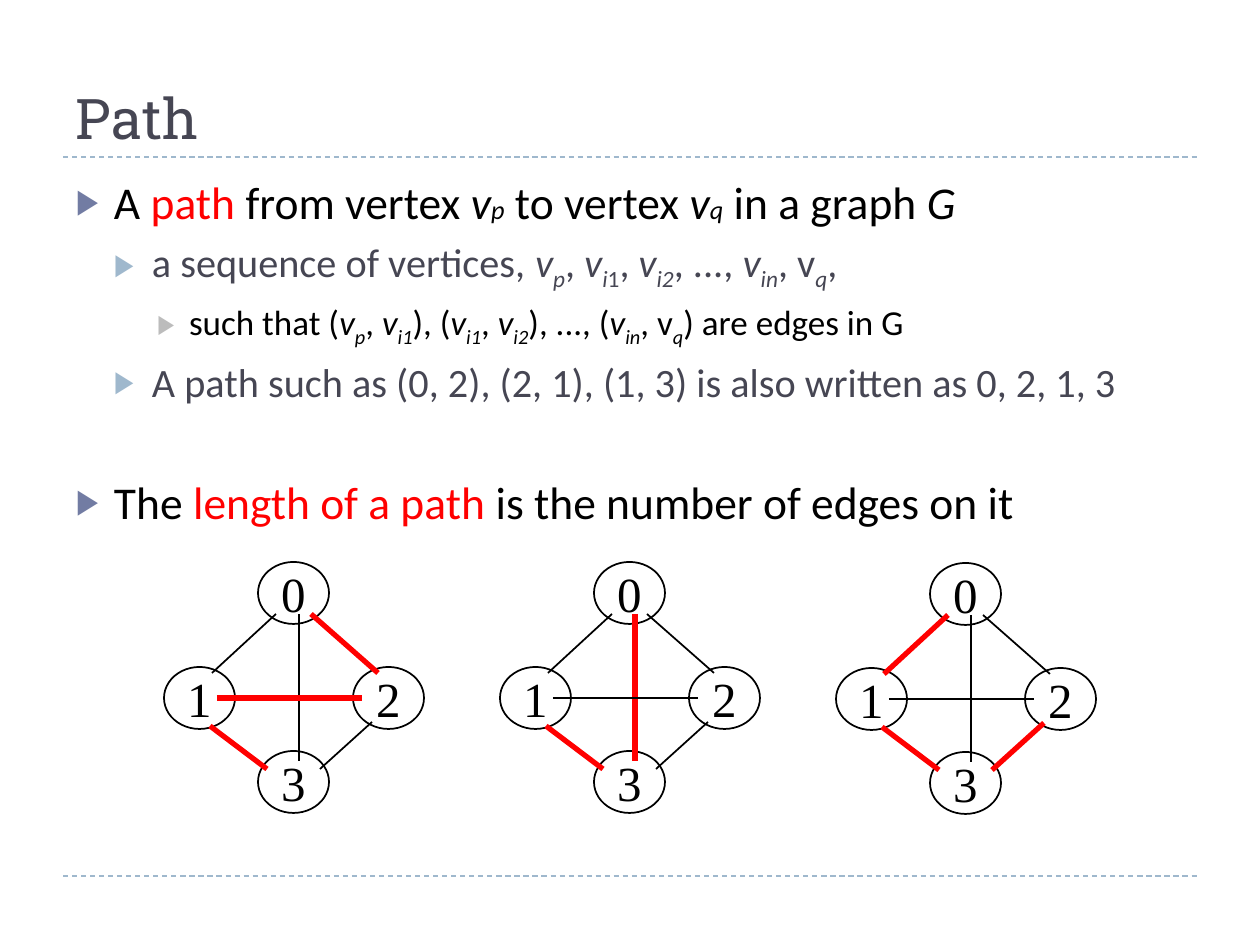
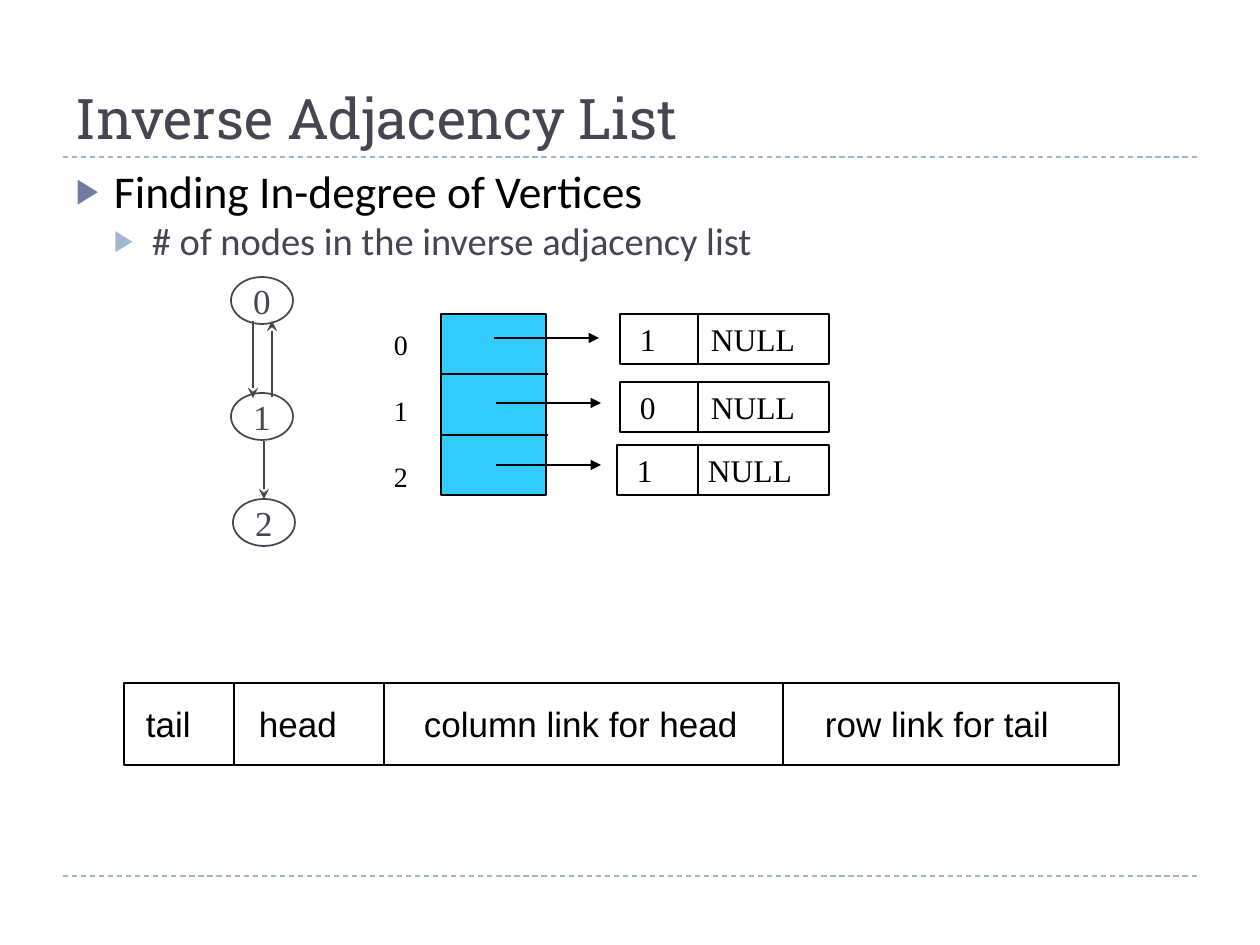
from lxml.etree import SubElement
from pptx import Presentation
from pptx.dml.color import RGBColor
from pptx.enum.dml import MSO_LINE_DASH_STYLE as Dash
from pptx.enum.shapes import MSO_CONNECTOR as Connector, MSO_SHAPE as Shape
from pptx.enum.text import MSO_ANCHOR as Anchor, MSO_AUTO_SIZE as AutoSize, PP_ALIGN as Align
from pptx.oxml.ns import qn
from pptx.util import Pt

PX = 914400 / 126
BLACK = RGBColor(0x00, 0x00, 0x00)
WHITE = RGBColor(0xFF, 0xFF, 0xFF)
RED = RGBColor(0xFF, 0x00, 0x00)
SLATE = RGBColor(0x46, 0x46, 0x53)
INDIGO = RGBColor(0x72, 0x7C, 0xA3)
PALE_BLUE = RGBColor(0x9F, 0xB8, 0xCD)
GRAY = RGBColor(0xBC, 0xBC, 0xBC)
CYAN = RGBColor(0x33, 0xCC, 0xFF)

TITLE_FONT, BODY_FONT = "Roboto Slab", "Calibri"
SERIF, SANS = "Times New Roman", "Arial"

LEVELS = [
    {"margin": 38, "hanging": 38, "before": 6, "bullet": INDIGO, "size": 26, "color": BLACK},
    {"margin": 76, "hanging": 38, "before": 5, "bullet": PALE_BLUE, "size": 23, "color": SLATE},
    {"margin": 113, "hanging": 32, "before": 5, "bullet": GRAY, "size": 20, "color": BLACK},
]
SPAN_STYLES = {
    "plain": {},
    "red": {"color": RED},
    "italic": {"italic": True},
    "small": {"italic": True, "size": 15},
    "sub": {"italic": True, "baseline": -25000},
    "upright sub": {"baseline": -25000},
}

GRAPH_NODES = [(94, 0), (0, 105), (189, 105), (94, 189)]
GRAPH_EDGES = {
    "0-3": (135, 52, 135, 199),
    "1-2": (53, 136, 198, 136),
    "0-1": (112, 52, 48, 111),
    "0-2": (147, 52, 214, 111),
    "1-3": (46, 164, 103, 207),
    "2-3": (208, 160, 156, 207),
}
PATHS = [
    (164, 562, {"0-2", "1-2", "1-3"}),
    (500, 562, {"0-3", "1-3"}),
    (836, 563, {"0-1", "1-3", "2-3"}),
]


def emu(px):
    return round(px * PX)


def apply_format(target, values):
    for name, value in values.items():
        setattr(target, name, value)


def format_font(font, name, size, color, italic=False, baseline=0):
    apply_format(font, {"name": name, "size": Pt(size), "italic": italic})
    font.color.rgb = color
    if baseline:
        font._element.set("baseline", str(baseline))


def format_frame(frame, anchor, left=13, right=13, wrap=True):
    apply_format(frame, {
        "auto_size": AutoSize.NONE, "word_wrap": wrap, "vertical_anchor": anchor,
        "margin_left": emu(left), "margin_right": emu(right),
        "margin_top": emu(6), "margin_bottom": emu(6),
    })


def place(shape, left, top, width, height):
    apply_format(shape, {
        "left": emu(left), "top": emu(top), "width": emu(width), "height": emu(height),
    })


def add_line(page, points, color=BLACK, weight=0.75, dash=None, arrow=None):
    line = page.shapes.add_connector(Connector.STRAIGHT, *map(emu, points))
    line.line.color.rgb = color
    line.line.width = Pt(weight)
    if dash:
        line.line.dash_style = dash
    properties = line.element.spPr
    if arrow:
        SubElement(properties.get_or_add_ln(), qn("a:tailEnd"), type=arrow)
    SubElement(properties, qn("a:effectLst"))


def add_box(page, kind, bounds, fill=None, color=BLACK, weight=0.75):
    box = page.shapes.add_shape(kind, *map(emu, bounds))
    box.shadow.inherit = False
    if fill is None:
        box.fill.background()
    else:
        box.fill.solid()
        box.fill.fore_color.rgb = fill
    box.line.color.rgb = color
    box.line.width = Pt(weight)
    return box


def add_vertex(page, bounds, label, size, color=BLACK):
    vertex = add_box(page, Shape.OVAL, bounds, WHITE, color, 1)
    format_frame(vertex.text_frame, Anchor.MIDDLE, wrap=False)
    para = vertex.text_frame.paragraphs[0]
    para.alignment = Align.CENTER
    span = para.add_run()
    span.text = label
    format_font(span.font, SERIF, size, color)


def add_record(page, bounds, fields, text_starts, dividers, font, size):
    left, top, _, height = bounds
    record = add_box(page, Shape.RECTANGLE, bounds)
    first, *others = text_starts
    format_frame(record.text_frame, Anchor.MIDDLE, left=first - left, right=0)
    para = record.text_frame.paragraphs[0]
    para.alignment = Align.LEFT
    tabs = SubElement(para._p.get_or_add_pPr(), qn("a:tabLst"))
    for start in others:
        SubElement(tabs, qn("a:tab"), pos=str(emu(start - first)), algn="l")
    span = para.add_run()
    span.text = "\t".join(fields)
    format_font(span.font, font, size, BLACK)
    for x in dividers:
        add_line(page, (x, top, x, top + height))


def add_bullet(para, level):
    properties = para._p.get_or_add_pPr()
    properties.set("marL", str(emu(level["margin"])))
    properties.set("indent", str(-emu(level["hanging"])))
    color = SubElement(properties, qn("a:buClr"))
    SubElement(color, qn("a:srgbClr"), val=str(level["bullet"]))
    SubElement(properties, qn("a:buSzPct"), val="76000")
    SubElement(properties, qn("a:buChar"), char="▶")


def fill_body(body, items, spacing=1.0, sizes=None):
    frame = body.text_frame
    format_frame(frame, Anchor.TOP)
    for index, (depth, extra_gap, spans) in enumerate(items):
        level = LEVELS[depth]
        para = frame.add_paragraph() if index else frame.paragraphs[0]
        add_bullet(para, level)
        apply_format(para, {
            "level": depth, "line_spacing": spacing, "alignment": Align.LEFT,
            "space_before": Pt(level["before"] + extra_gap if index else 0),
        })
        base = {"name": BODY_FONT, "color": level["color"],
                "size": (sizes or {}).get(depth, level["size"])}
        for text, style in spans:
            span = para.add_run()
            span.text = text
            format_font(span.font, **{**base, **SPAN_STYLES[style]})


def plain(text):
    return [(text, "plain")]


def indexed(index, name_style="italic", index_style="sub"):
    return [("v", name_style), (index, index_style)]


def add_page(deck, title, body_height):
    page = deck.slides.add_slide(deck.slide_layouts[1])
    for y in (876, 157):
        add_line(page, (63, y, 1197, y), PALE_BLUE, dash=Dash.DASH)
    heading, body = page.shapes.title, page.placeholders[1]
    place(heading, 63, 21, 1134, 136)
    format_frame(heading.text_frame, Anchor.BOTTOM)
    para = heading.text_frame.paragraphs[0]
    para.alignment = Align.LEFT
    span = para.add_run()
    span.text = title
    format_font(span.font, TITLE_FONT, 32, SLATE)
    place(body, 63, 168, 1134, body_height)
    return page, body


def add_graph(page, left, top, path_edges):
    for number, (x, y) in enumerate(GRAPH_NODES):
        add_vertex(page, (left + x, top + y, 71, 62), str(number), 28)
    for edge, (x1, y1, x2, y2) in GRAPH_EDGES.items():
        color, weight = (RED, 3) if edge in path_edges else (BLACK, 1)
        add_line(page, (left + x1, top + y1, left + x2, top + y2), color, weight)


def build_path_page(deck):
    page, body = add_page(deck, "Path", 680)
    comma = plain(", ")
    fill_body(body, [
        (0, 0, [("A ", "plain"), ("path ", "red"), ("from vertex ", "plain"),
                *indexed("p", index_style="small"), *plain(" to vertex "),
                *indexed("q", index_style="small"), *plain(" in a graph "),
                ("G", "italic")]),
        (1, 0, [*plain("a sequence of vertices, "), *indexed("p"), *comma,
                *indexed("i"), ("1", "upright sub"), *comma, *indexed("i2"),
                *plain(", ..., "), *indexed("in"), *comma,
                *indexed("q", "plain"), *plain(",")]),
        (2, 0, [*plain("such that ("), *indexed("p"), *comma, *indexed("i1"),
                *plain("), ("), *indexed("i1"), *comma, *indexed("i2"),
                *plain("), ..., ("), *indexed("in"), *comma,
                *indexed("q", "plain"), *plain(") are edges in G")]),
        (1, 0, plain("A path such as (0, 2), (2, 1), (1, 3) is also written as 0, 2, 1, 3")),
        (0, 33, [("The ", "plain"), ("length of a path ", "red"),
                 ("is the number of edges on it", "plain")]),
    ])
    for left, top, path_edges in PATHS:
        add_graph(page, left, top, path_edges)


def add_index_labels(page, labels):
    box = page.shapes.add_textbox(*map(emu, (381, 319, 39, 183)))
    format_frame(box.text_frame, Anchor.MIDDLE, right=0)
    for index, label in enumerate(labels):
        para = box.text_frame.add_paragraph() if index else box.text_frame.paragraphs[0]
        para.space_before = Pt(18.4 if index else 0)
        span = para.add_run()
        span.text = label
        format_font(span.font, SERIF, 16, BLACK)


def build_inverse_list_page(deck):
    page, body = add_page(deck, "Inverse Adjacency List", 126)
    fill_body(body, [
        (0, 0, plain("Finding In-degree of Vertices")),
        (1, 0, plain("# of nodes in the inverse adjacency list")),
    ], spacing=0.8, sizes={1: 22})

    add_box(page, Shape.RECTANGLE, (441, 314, 105, 181), CYAN)
    for y in (374, 435):
        add_line(page, (441, y, 548, y))
    for x, y in ((494, 338), (496, 403), (496, 465)):
        add_line(page, (x, y, x + 105, y), arrow="triangle")
    add_index_labels(page, "012")
    for left, top, vertex in ((620, 314, "1"), (620, 382, "0"), (617, 445, "1")):
        add_record(page, (left, top, 829 - left, 50), (vertex, "NULL"),
                   (left + 20, left + 91), (698,), SERIF, 18)

    for number, (left, top) in enumerate(((231, 277), (231, 393), (233, 499))):
        add_vertex(page, (left, top, 62, 47), str(number), 20, SLATE)
    for points in ((264, 441, 264, 499), (272, 397, 272, 321), (253, 321, 253, 398)):
        add_line(page, points, SLATE, 1, arrow="stealth")

    add_record(page, (124, 683, 995, 82),
               ("tail", "head", "column link for head", "row link for tail"),
               (146, 259, 424, 825), (234, 384, 783), SANS, 20)


def main():
    deck = Presentation()
    apply_format(deck, {"slide_width": emu(1260), "slide_height": emu(945)})
    build_path_page(deck)
    build_inverse_list_page(deck)
    deck.save("out.pptx")


if __name__ == "__main__":
    main()
